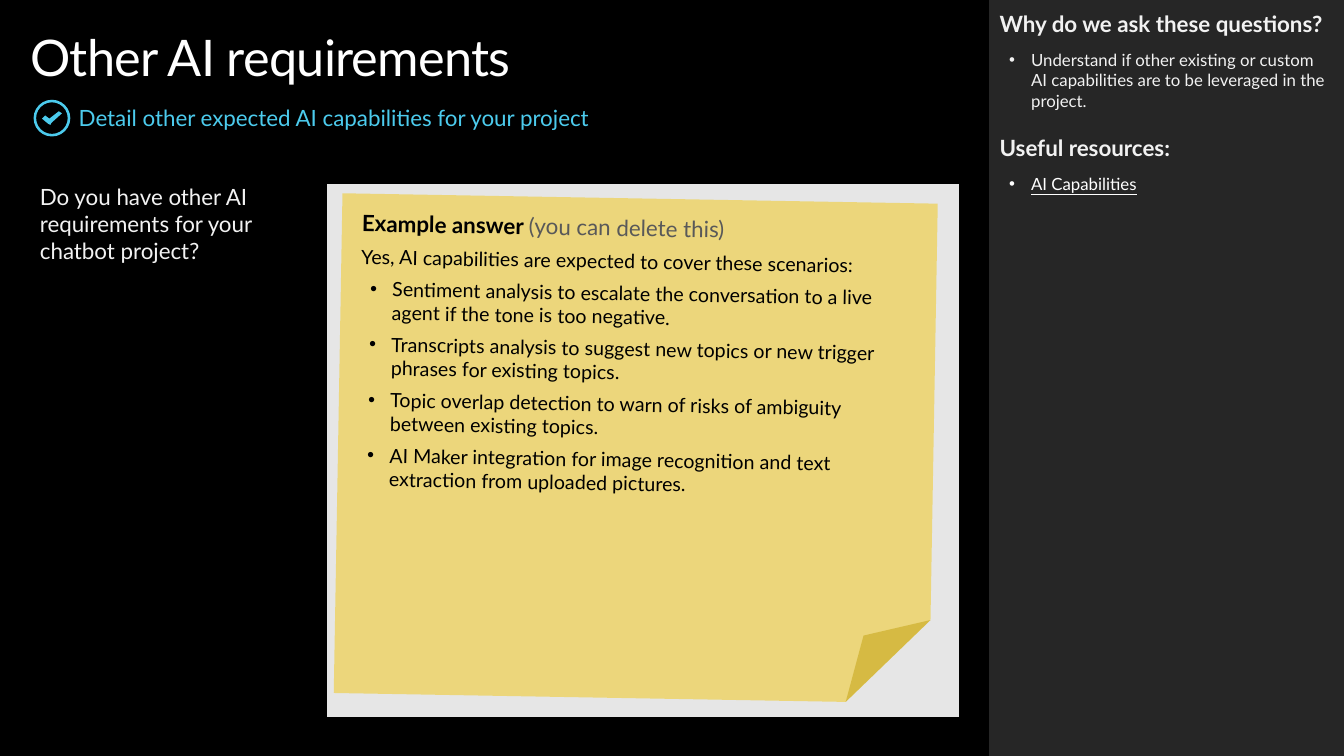
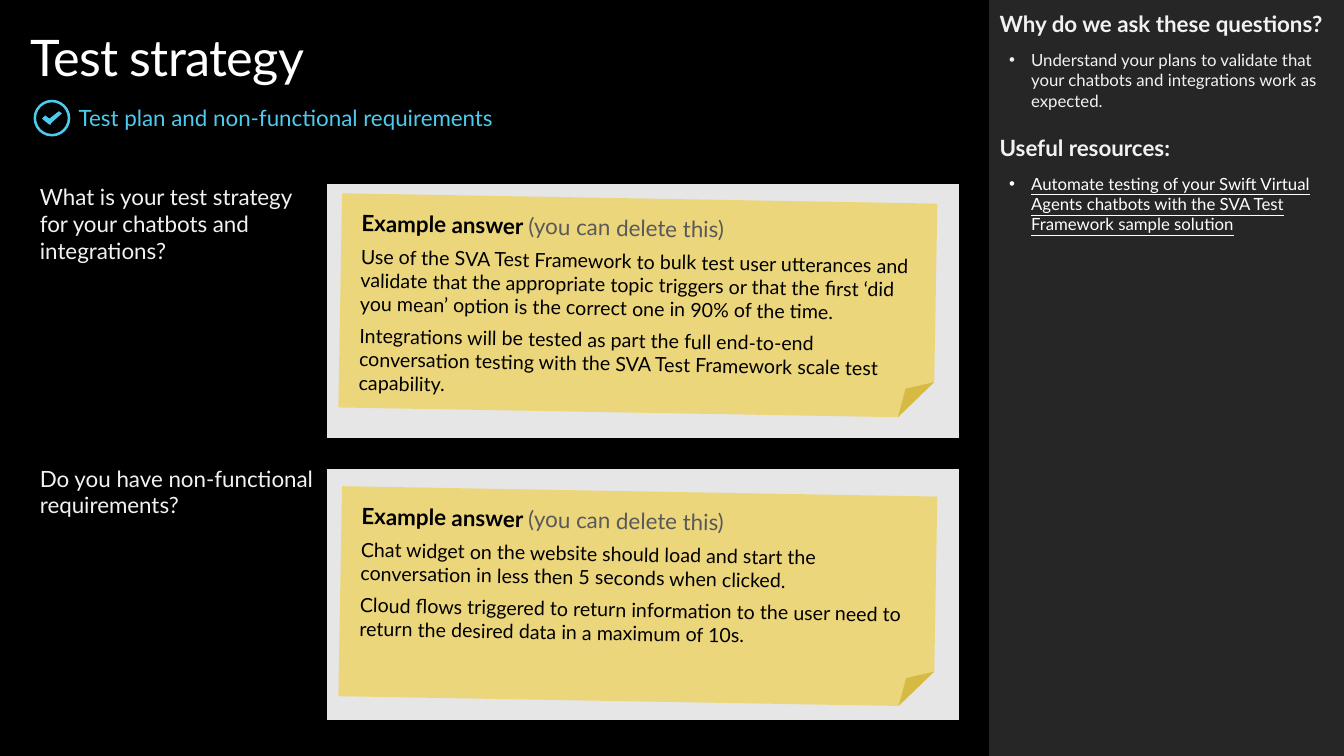
from dataclasses import dataclass

from lxml import etree
from pptx import Presentation
from pptx.dml.color import RGBColor
from pptx.enum.shapes import MSO_SHAPE
from pptx.enum.text import MSO_ANCHOR, PP_ALIGN
from pptx.oxml.ns import qn
from pptx.util import Pt

EMU_PER_PX = 9525
SLIDE_W, SLIDE_H = 1280, 720
PANEL_X = 942
BLANK_LAYOUT = 6
FONT = "Lato"

BLACK = "000000"
WHITE = "FFFFFF"
PALE = "F2F2F2"
PANEL_GRAY = "262626"
ANSWER_GRAY = "E6E6E6"
HINT_GRAY = "595959"
CYAN = "4CCBED"
NOTE_YELLOW = "F2C811"

RECTANGLE = MSO_SHAPE.RECTANGLE
DONUT = MSO_SHAPE.DONUT
FOLDED_CORNER = MSO_SHAPE.FOLDED_CORNER
TOP, MIDDLE = MSO_ANCHOR.TOP, MSO_ANCHOR.MIDDLE
LEFT = PP_ALIGN.LEFT

NO_INSETS = (0, 0, 0, 0)
QUESTION_INSETS = (0, 0, 10, 0)
PANEL_INSETS = (10, 10, 10, 10)
NOTE_INSETS = (19, 15, 19, 15)

TABLE_X, TABLE_Y = 38, 175
COLUMN_WIDTHS = (273, 602)
BORDER = 8
CHECK_MARK = [(56, 106), (47, 113), (43, 110), (40, 113), (46, 118),
              (48, 119), (49, 117), (59, 108)]


@dataclass
class Piece:
    text: str
    size: int
    color: str
    bold: bool = False
    underline: bool = False
    tracking: int = 0


@dataclass
class Line:
    pieces: list
    bullet: bool = False
    before: int = 0
    after: int = 0


def px(length):
    return length * EMU_PER_PX


def rgb(color):
    return RGBColor.from_string(color)


def add_bullet(paragraph):
    properties = paragraph._p.get_or_add_pPr()
    properties.set("marL", str(px(30)))
    properties.set("indent", str(px(-21)))
    etree.SubElement(properties, qn("a:buFont"), typeface="Arial")
    etree.SubElement(properties, qn("a:buChar"), char="•")


def write_lines(frame, lines):
    for index, line in enumerate(lines):
        paragraph = frame.paragraphs[0] if index == 0 else frame.add_paragraph()
        if line.bullet:
            add_bullet(paragraph)
        paragraph.alignment = LEFT
        paragraph.space_before = Pt(line.before)
        paragraph.space_after = Pt(line.after)
        for piece in line.pieces:
            run = paragraph.add_run()
            run.text = piece.text
            font = run.font
            font.name = FONT
            font.size = Pt(piece.size)
            font.color.rgb = rgb(piece.color)
            font.bold = piece.bold
            font.underline = piece.underline
            if piece.tracking:
                run._r.get_or_add_rPr().set("spc", str(piece.tracking))


def set_insets(holder, insets):
    left, top, right, bottom = map(px, insets)
    holder.margin_left, holder.margin_top = left, top
    holder.margin_right, holder.margin_bottom = right, bottom


def fill_frame(frame, lines, insets, anchor=TOP):
    frame.word_wrap = True
    frame.vertical_anchor = anchor
    set_insets(frame, insets)
    write_lines(frame, lines)


def add_text(slide, box, lines, insets=NO_INSETS, anchor=TOP):
    textbox = slide.shapes.add_textbox(*map(px, box))
    fill_frame(textbox.text_frame, lines, insets, anchor)


def paint(shape, color):
    shape.shadow.inherit = False
    shape.fill.solid()
    shape.fill.fore_color.rgb = rgb(color)
    shape.line.fill.background()


def add_block(slide, kind, box, color):
    block = slide.shapes.add_shape(kind, *map(px, box))
    paint(block, color)
    return block


def add_check_icon(slide):
    ring = add_block(slide, DONUT, (32, 95, 35, 35), CYAN)
    ring.adjustments[0] = 0.07
    builder = slide.shapes.build_freeform(*CHECK_MARK[0], scale=EMU_PER_PX)
    builder.add_line_segments(CHECK_MARK[1:], close=True)
    paint(builder.convert_to_shape(), CYAN)


def add_side_panel(slide, reason, resource):
    add_block(slide, RECTANGLE, (PANEL_X, 0, SLIDE_W - PANEL_X, SLIDE_H), PANEL_GRAY)
    add_text(slide, (PANEL_X, 0, SLIDE_W - PANEL_X, 234), [
        Line([Piece("Why do we ask these questions?", 16, PALE, bold=True)], after=6),
        Line([Piece(reason, 12, PALE)], bullet=True, before=3),
        Line([Piece("Useful resources:", 16, PALE, bold=True)], before=17, after=6),
        Line([Piece(resource, 12, WHITE, underline=True)], bullet=True, before=3),
    ], PANEL_INSETS)


def add_page(deck, title, subtitle, reason, resource):
    slide = deck.slides.add_slide(deck.slide_layouts[BLANK_LAYOUT])
    add_side_panel(slide, reason, resource)
    add_check_icon(slide)
    add_text(slide, (29, 25, 884, 59), [Line([Piece(title, 36, WHITE, tracking=-50)])])
    add_text(slide, (75, 99, 838, 26), [Line([Piece(subtitle, 16, CYAN)])], anchor=MIDDLE)
    return slide


def set_borders(cell, black_sides):
    properties = cell._tc.get_or_add_tcPr()
    for side in "LRTB":
        border = etree.SubElement(properties, qn(f"a:ln{side}"))
        if side in black_sides:
            border.set("w", str(px(BORDER)))
            solid = etree.SubElement(border, qn("a:solidFill"))
            etree.SubElement(solid, qn("a:srgbClr"), val=BLACK)
        else:
            etree.SubElement(border, qn("a:noFill"))


def format_cell(cell, color, black_sides):
    set_borders(cell, black_sides)
    cell.fill.solid()
    cell.fill.fore_color.rgb = rgb(color)
    set_insets(cell, QUESTION_INSETS)


def add_questions(slide, rows):
    heights = [height for height, question in rows]
    table = slide.shapes.add_table(
        len(rows), len(COLUMN_WIDTHS), px(TABLE_X), px(TABLE_Y),
        px(sum(COLUMN_WIDTHS)), px(sum(heights))).table
    table.first_row = False
    table.horz_banding = False
    for column, width in zip(table.columns, COLUMN_WIDTHS):
        column.width = px(width)
    for index, (height, question) in enumerate(rows):
        table.rows[index].height = px(height)
        black_sides = "TB" if index else "B"
        question_cell, answer_cell = table.rows[index].cells
        format_cell(question_cell, BLACK, black_sides)
        format_cell(answer_cell, ANSWER_GRAY if question else BLACK, black_sides)
        if question:
            write_lines(question_cell.text_frame, [Line([Piece(question, 16, PALE)])])
        else:
            for cell in (question_cell, answer_cell):
                paragraph = cell.text_frame.paragraphs[0]
                etree.SubElement(paragraph._p, qn("a:endParaRPr"), sz="800")


def add_note(slide, box, statements, bullets=()):
    note = add_block(slide, FOLDED_CORNER, box, NOTE_YELLOW)
    note.rotation = 1
    color = note._element.spPr.find(qn("a:solidFill"))[0]
    etree.SubElement(color, qn("a:alpha"), val="50000")
    heading = Line([Piece("Example answer ", 16, BLACK, bold=True),
                    Piece("(you can delete this)", 16, HINT_GRAY)], after=6)
    body = [Line([Piece(text, 14, BLACK)], after=6) for text in statements]
    points = [Line([Piece(text, 14, BLACK)], bullet=True, after=6) for text in bullets]
    fill_frame(note.text_frame, [heading, *body, *points], NOTE_INSETS)


def add_requirements_page(deck):
    slide = add_page(
        deck, "Other AI requirements",
        "Detail other expected AI capabilities for your project",
        "Understand if other existing or custom AI capabilities are to be "
        "leveraged in the project.",
        "AI Capabilities")
    add_questions(slide, [
        (511, "Do you have other AI requirements for your chatbot project?")])
    add_note(slide, (322, 189, 567, 476), [
        "Yes, AI capabilities are expected to cover these scenarios:",
    ], [
        "Sentiment analysis to escalate the conversation to a live agent "
        "if the tone is too negative.",
        "Transcripts analysis to suggest new topics or new trigger phrases "
        "for existing topics.",
        "Topic overlap detection to warn of risks of ambiguity between existing topics.",
        "AI Maker integration for image recognition and text extraction "
        "from uploaded pictures.",
    ])


def add_strategy_page(deck):
    slide = add_page(
        deck, "Test strategy", "Test plan and non-functional requirements",
        "Understand your plans to validate that your chatbots and integrations "
        "work as expected.",
        "Automate testing of your Swift Virtual Agents chatbots with the "
        "SVA Test Framework sample solution")
    add_questions(slide, [
        (246, "What is your test strategy for your chatbots and integrations?"),
        (22, ""),
        (246, "Do you have non-functional requirements?")])
    add_note(slide, (324, 189, 567, 204), [
        "Use of the SVA Test Framework to bulk test user utterances and validate "
        "that the appropriate topic triggers or that the first ‘did you mean’ "
        "option is the correct one in 90% of the time.",
        "Integrations will be tested as part the full end-to-end conversation "
        "testing with the SVA Test Framework scale test capability.",
    ])
    add_note(slide, (324, 468, 567, 200), [
        "Chat widget on the website should load and start the conversation "
        "in less then 5 seconds when clicked.",
        "Cloud flows triggered to return information to the user need to return "
        "the desired data in a maximum of 10s.",
    ])


def main():
    deck = Presentation()
    deck.slide_width, deck.slide_height = px(SLIDE_W), px(SLIDE_H)
    backdrop = deck.slide_master.background.fill
    backdrop.solid()
    backdrop.fore_color.rgb = rgb(BLACK)
    add_requirements_page(deck)
    add_strategy_page(deck)
    deck.save("out.pptx")


if __name__ == "__main__":
    main()
